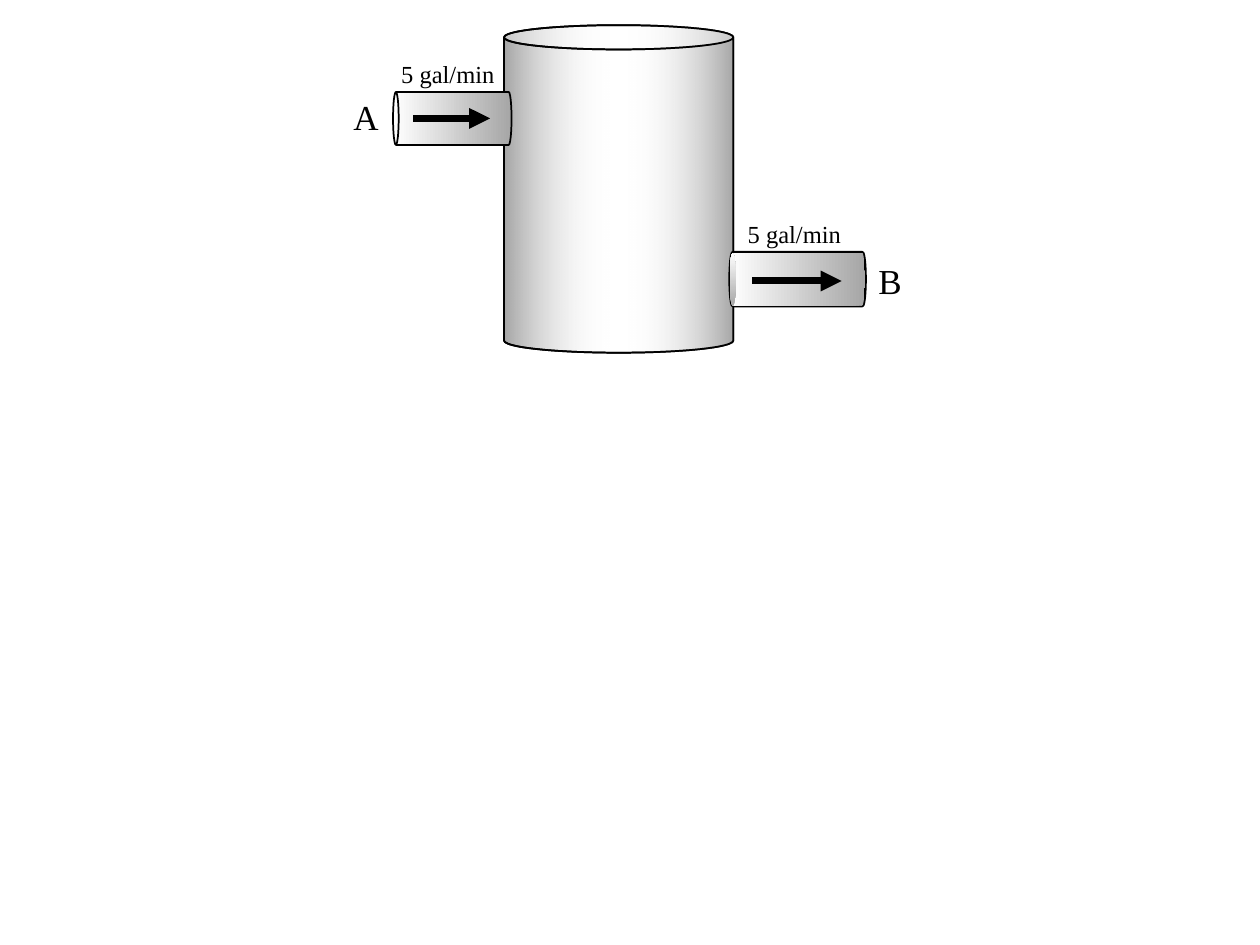
from dataclasses import dataclass
from typing import Optional

from lxml.etree import SubElement
from pptx import Presentation
from pptx.dml.color import RGBColor
from pptx.enum.shapes import MSO_CONNECTOR as Connector, MSO_SHAPE as Preset
from pptx.enum.text import MSO_AUTO_SIZE as AutoSize, PP_ALIGN as Align
from pptx.oxml.ns import qn
from pptx.util import Inches, Pt

COLUMNS, ROWS = 100, 75
CELL = Inches(10) / COLUMNS


@dataclass(frozen=True)
class Theme:
    font: str = "Times New Roman"
    ink: str = "000000"
    shade: str = "A6A6A6"
    light: str = "FFFFFF"
    rate_size: int = 14
    letter_size: int = 20
    thin_line: float = 1
    pipe_line: float = 2
    arrow_line: float = 4
    can_depth: float = 0.106


@dataclass(frozen=True)
class Box:
    """A place on the slide, in grid columns and rows."""
    left: float
    top: float
    width: float
    height: float

    def emu(self) -> tuple[int, ...]:
        return tuple(cells(n) for n in (self.left, self.top, self.width, self.height))


@dataclass(frozen=True)
class Gradient:
    """Shade to light; the angle is clockwise and ignores shape rotation."""
    angle: int
    light_at: int = 100
    light_alpha: int = 100


@dataclass(frozen=True)
class Solid:
    preset: Preset
    box: Box
    gradient: Gradient
    line: Optional[float] = None
    rotation: int = 0


@dataclass(frozen=True)
class Arrow:
    start: float
    end: float
    row: float


@dataclass(frozen=True)
class Label:
    text: str
    box: Box
    size: int


THEME = Theme()
TANK = Box(40, 2, 18.2, 26)
INLET = Box(33.8, 4.7, 4.2, 9.4)
OUTLET = Box(61.2, 16.8, 4.2, 10.7)
TO_RIGHT, TO_LEFT, TO_TOP = 0, 180, 270

TANK_PARTS = [
    Solid(Preset.CAN, TANK, Gradient(angle, light_at=46, light_alpha=0), THEME.thin_line)
    for angle in (TO_RIGHT, TO_LEFT)
]
OUTLET_PARTS = [
    Solid(Preset.CAN, OUTLET, Gradient(TO_LEFT), THEME.pipe_line, rotation=90),
    Solid(Preset.CAN, OUTLET, Gradient(TO_LEFT), rotation=270),
    Solid(Preset.OVAL, Box(57.9, 20.1, 0.5, 4.2), Gradient(TO_TOP)),
]
INLET_PARTS = [
    Solid(Preset.CAN, INLET, Gradient(TO_LEFT), THEME.thin_line, rotation=270),
]
ARROWS = [Arrow(59.7, 66.8, 22.3), Arrow(32.8, 38.9, 9.4)]
LABELS = [
    Label("5 gal/min", Box(29.8, 4.2, 11.5, 3.4), THEME.rate_size),
    Label("5 gal/min", Box(57.3, 16.9, 11.5, 3.4), THEME.rate_size),
    Label("A", Box(27, 7.1, 4.1, 4.4), THEME.letter_size),
    Label("B", Box(68.6, 20.1, 4.1, 4.4), THEME.letter_size),
]


def cells(count: float) -> int:
    return round(count * CELL)


def color(value: str) -> RGBColor:
    return RGBColor.from_string(value)


def fill_gradient(shape, gradient: Gradient) -> None:
    shape.fill.gradient()
    fill = shape._element.spPr.find(qn("a:gradFill"))
    for child in list(fill):
        fill.remove(child)
    fill.set("rotWithShape", "0")
    stops = SubElement(fill, qn("a:gsLst"))
    for position, value, alpha in (
        (0, THEME.shade, 100),
        (gradient.light_at, THEME.light, gradient.light_alpha),
    ):
        stop = SubElement(stops, qn("a:gs"), pos=str(position * 1000))
        stop_color = SubElement(stop, qn("a:srgbClr"), val=value)
        if alpha < 100:
            SubElement(stop_color, qn("a:alpha"), val=str(alpha * 1000))
    SubElement(fill, qn("a:lin"), ang=str(gradient.angle * 60000), scaled="0")


def draw_solid(shapes, solid: Solid) -> None:
    shape = shapes.add_shape(solid.preset, *solid.box.emu())
    shape.shadow.inherit = False
    shape.rotation = solid.rotation
    if solid.preset == Preset.CAN:
        shape.adjustments[0] = THEME.can_depth
    fill_gradient(shape, solid.gradient)
    if solid.line is None:
        shape.line.fill.background()
    else:
        shape.line.color.rgb = color(THEME.ink)
        shape.line.width = Pt(solid.line)


def draw_arrow(shapes, arrow: Arrow) -> None:
    row = cells(arrow.row)
    connector = shapes.add_connector(
        Connector.STRAIGHT, cells(arrow.start), row, cells(arrow.end), row
    )
    connector.line.color.rgb = color(THEME.ink)
    connector.line.width = Pt(THEME.arrow_line)
    SubElement(connector.line._get_or_add_ln(), qn("a:tailEnd"), type="triangle")
    SubElement(connector._element.spPr, qn("a:effectLst"))


def draw_label(shapes, label: Label) -> None:
    frame = shapes.add_textbox(*label.box.emu()).text_frame
    frame.word_wrap = True
    frame.auto_size = AutoSize.SHAPE_TO_FIT_TEXT
    paragraph = frame.paragraphs[0]
    paragraph.alignment = Align.CENTER
    run = paragraph.add_run()
    run.text = label.text
    run.font.name = THEME.font
    run.font.size = Pt(label.size)
    run.font.color.rgb = color(THEME.ink)


def main() -> None:
    presentation = Presentation()
    presentation.slide_width = cells(COLUMNS)
    presentation.slide_height = cells(ROWS)
    slide = presentation.slides.add_slide(presentation.slide_layouts[6])
    for parts in (TANK_PARTS, OUTLET_PARTS, INLET_PARTS):
        group = slide.shapes.add_group_shape()
        for solid in parts:
            draw_solid(group.shapes, solid)
    for arrow in ARROWS:
        draw_arrow(slide.shapes, arrow)
    for label in LABELS:
        draw_label(slide.shapes, label)
    presentation.save("out.pptx")


if __name__ == "__main__":
    main()
